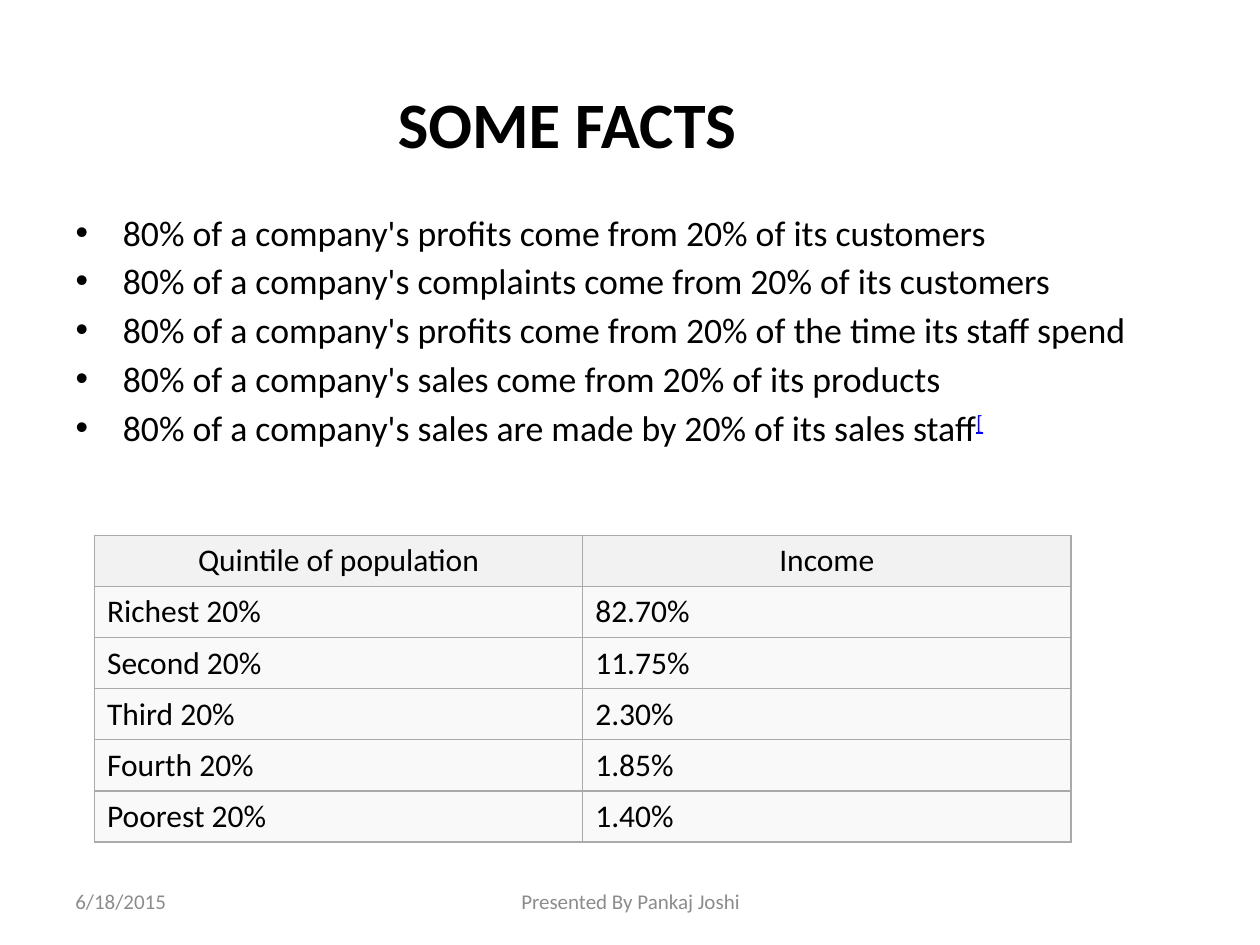
"""Build the 'Some facts' slide on the 80/20 rule."""
from lxml import etree
from pptx import Presentation
from pptx.dml.color import RGBColor
from pptx.enum import text
from pptx.oxml import ns
from pptx.util import Inches, Pt

COLORS = {"ink": "000000", "muted": "8C8C8C", "link": "0000FF",
          "header": "F2F2F2", "row": "F9F9F9", "border": "AAAAAA"}
LEFT, CENTER = text.PP_ALIGN.LEFT, text.PP_ALIGN.CENTER
FACTS = [
    "profits come from 20% of its customers",
    "complaints come from 20% of its customers",
    "profits come from 20% of the time its staff spend",
    "sales come from 20% of its products",
    "sales are made by 20% of its sales staff",
]
INCOME = [
    ("Quintile of population", "Income"),
    ("Richest 20%", "82.70%"),
    ("Second 20%", "11.75%"),
    ("Third 20%", "2.30%"),
    ("Fourth 20%", "1.85%"),
    ("Poorest 20%", "1.40%"),
]


class Deck:
    """Hold the slide and its text style."""

    def __init__(self, prs, font="Calibri"):
        self.s = prs.slides.add_slide(prs.slide_layouts[1])
        self.font = font

    def color(self, name):
        return RGBColor.from_string(COLORS[name])

    def style(self, p, size, color="ink", align=LEFT, bold=False):
        p.alignment = align
        p.font.name, p.font.size, p.font.bold = self.font, Pt(size), bold
        p.font.color.rgb = self.color(color)

    def place(self, sp, box, anchor):
        sp.left, sp.top, sp.width, sp.height = map(Inches, box)
        tf = sp.text_frame
        tf.word_wrap, tf.vertical_anchor = True, anchor
        tf.auto_size = text.MSO_AUTO_SIZE.NONE
        return tf

    def title(self, box, words):
        tf = self.place(self.s.shapes.title, box, text.MSO_ANCHOR.MIDDLE)
        tf.text = words
        self.style(tf.paragraphs[0], 37, align=CENTER, bold=True)

    def bullets(self, box, lines, mark):
        tf = self.place(self.s.placeholders[1], box, text.MSO_ANCHOR.TOP)
        tf.text = "\n".join(lines)
        for p in tf.paragraphs:
            self.style(p, 20.4)
            p.space_before = Pt(3.4)
        r = p.add_run()
        r.text = mark
        r.font.underline = True
        r.font.color.rgb = self.color("link")
        r.font._element.set("baseline", "30000")

    def footer(self, box, words, align=LEFT):
        sp = self.s.shapes.add_textbox(*map(Inches, box))
        tf = self.place(sp, box, text.MSO_ANCHOR.MIDDLE)
        tf.text = words
        self.style(tf.paragraphs[0], 12, "muted", align)

    def borders(self, cell):
        tcPr = cell._tc.get_or_add_tcPr()
        for i, side in enumerate(("lnL", "lnR", "lnT", "lnB")):
            ln = etree.Element(ns.qn("a:" + side), w=str(Pt(0.75)))
            fill = etree.SubElement(ln, ns.qn("a:solidFill"))
            etree.SubElement(fill, ns.qn("a:srgbClr"), val=COLORS["border"])
            tcPr.insert(i, ln)

    def table(self, box, rows):
        shape = self.s.shapes.add_table(len(rows), len(rows[0]), *map(Inches, box))
        for i, row in enumerate(rows):
            for j, words in enumerate(row):
                cell = shape.table.cell(i, j)
                cell.text = words
                cell.vertical_anchor = text.MSO_ANCHOR.MIDDLE
                cell.fill.solid()
                cell.fill.fore_color.rgb = self.color("row" if i else "header")
                self.style(cell.text_frame.paragraphs[0], 18,
                           align=LEFT if i else CENTER)
                self.borders(cell)


prs = Presentation()
prs.slide_width, prs.slide_height = Inches(10), Inches(7.5)
deck = Deck(prs)
deck.title((0.5, 0.58, 8, 0.78), "SOME FACTS")
deck.bullets((0.5, 1.62, 9, 2.38), ["80% of a company's " + f for f in FACTS], "[")
deck.table((0.75, 4.25, 7.75, 2.4), INCOME)
deck.footer((0.5, 6.95, 2.33, 0.4), "6/18/2015")
deck.footer((3.42, 6.95, 3.17, 0.4), "Presented By Pankaj Joshi", CENTER)
prs.save("out.pptx")
